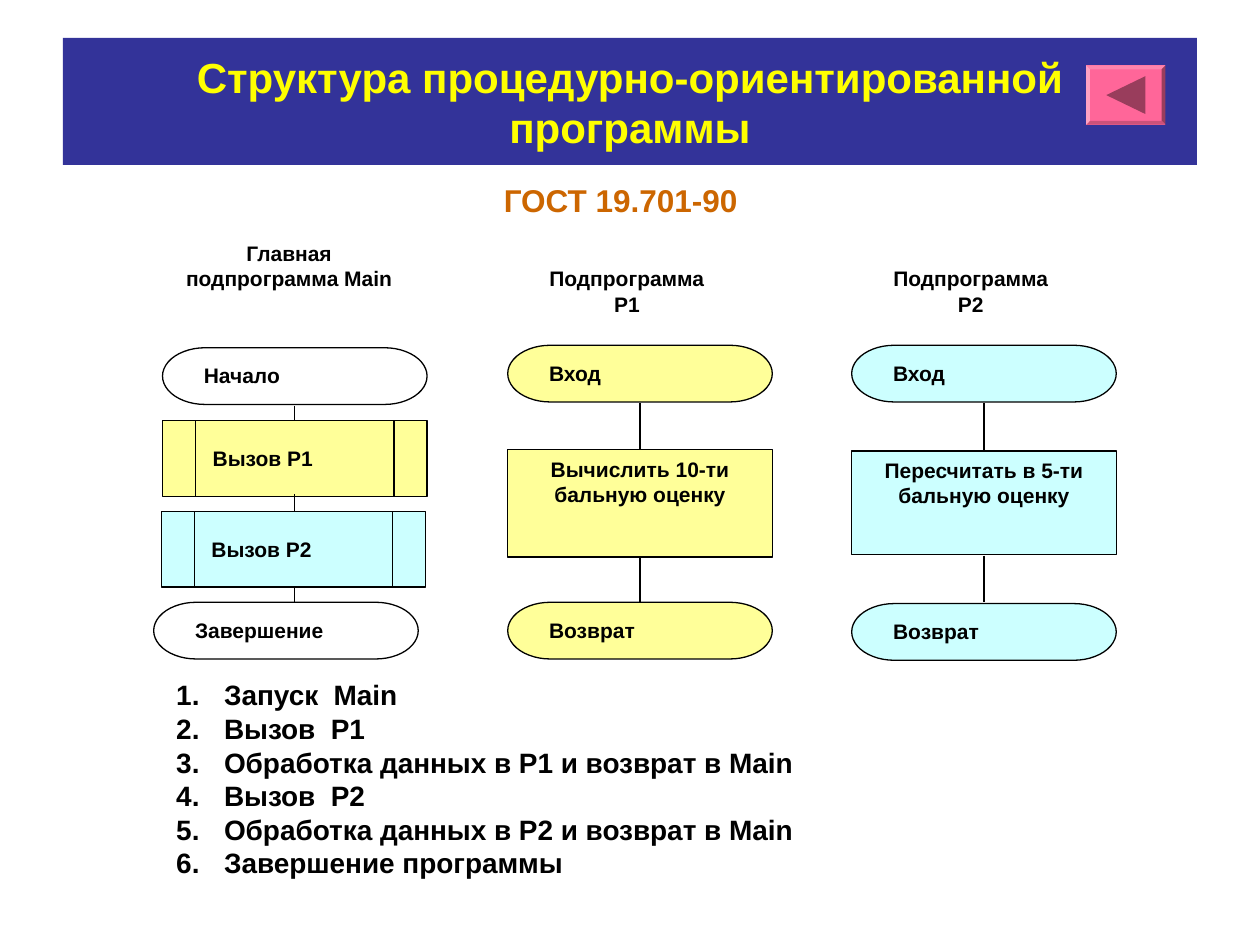
from dataclasses import dataclass

from lxml import etree
from pptx import Presentation
from pptx.dml.color import RGBColor
from pptx.enum.shapes import MSO_CONNECTOR, MSO_SHAPE
from pptx.enum.text import MSO_ANCHOR, PP_ALIGN
from pptx.oxml.ns import qn
from pptx.util import Inches, Pt

RECTANGLE = MSO_SHAPE.RECTANGLE
TERMINATOR = MSO_SHAPE.FLOWCHART_TERMINATOR
PREDEFINED_PROCESS = MSO_SHAPE.FLOWCHART_PREDEFINED_PROCESS
STRAIGHT = MSO_CONNECTOR.STRAIGHT
LEFT, CENTER = PP_ALIGN.LEFT, PP_ALIGN.CENTER
TOP, MIDDLE = MSO_ANCHOR.TOP, MSO_ANCHOR.MIDDLE


@dataclass(frozen=True)
class Theme:
    font: str = "Arial"
    black: str = "000000"
    white: str = "FFFFFF"
    yellow: str = "FFFF99"
    cyan: str = "CCFFFF"
    banner: str = "333399"
    title: str = "FFFF00"
    standard: str = "CC6600"
    button: str = "FF6699"
    button_top: str = "FF85AD"
    button_left: str = "FFA3C2"
    button_right: str = "993D5C"
    button_bottom: str = "CC527A"
    title_size: int = 24
    standard_size: int = 18
    list_size: int = 16
    label_size: int = 12
    line_width: float = 0.75


THEME = Theme()
COLUMNS = (1.29, 4.03, 6.76)
BLOCK_WIDTH = 2.1
TERMINATOR_HEIGHT = 0.45
CALL_HEIGHT = 0.6
STEPS = (
    "Запуск  Main",
    "Вызов  P1",
    "Обработка данных в Р1 и возврат в Main",
    "Вызов  P2",
    "Обработка данных в Р2 и возврат в Main",
    "Завершение программы",
)


def color(value):
    return RGBColor.from_string(value)


def write(shape, lines, size=THEME.label_size, ink=THEME.black,
          align=LEFT, anchor=TOP, wrap=True):
    frame = shape.text_frame
    frame.word_wrap = wrap
    frame.vertical_anchor = anchor
    for index, line in enumerate(lines):
        paragraph = frame.add_paragraph() if index else frame.paragraphs[0]
        paragraph.alignment = align
        run = paragraph.add_run()
        run.text = line
        run.font.name = THEME.font
        run.font.size = Pt(size)
        run.font.bold = True
        run.font.color.rgb = color(ink)
    return frame


def paint(shape, fill, outlined=False):
    shape.shadow.inherit = False
    shape.fill.solid()
    shape.fill.fore_color.rgb = color(fill)
    if outlined:
        shape.line.color.rgb = color(THEME.black)
        shape.line.width = Pt(THEME.line_width)
    else:
        shape.line.fill.background()


def add_block(slide, kind, box, fill, outlined=False):
    shape = slide.shapes.add_shape(kind, *map(Inches, box))
    paint(shape, fill, outlined)
    return shape


def add_terminator(slide, left, top, text, fill, label_width):
    add_block(slide, TERMINATOR, (left, top, BLOCK_WIDTH, TERMINATOR_HEIGHT), fill, True)
    label = add_block(slide, RECTANGLE, (left + 0.23, top + 0.07, label_width, 0.3), fill)
    write(label, [text])


def add_call(slide, left, top, text, fill):
    """Add a predefined-process block that calls a subprogram."""
    add_block(slide, PREDEFINED_PROCESS, (left, top, BLOCK_WIDTH, CALL_HEIGHT), fill, True)
    label = add_block(slide, RECTANGLE, (left + 0.3, top + 0.15, 1.47, 0.3), fill)
    write(label, [text])


def add_link(slide, column, top, bottom):
    center = Inches(column + BLOCK_WIDTH / 2)
    link = slide.shapes.add_connector(STRAIGHT, center, Inches(top), center, Inches(bottom))
    link.line.color.rgb = color(THEME.black)
    link.line.width = Pt(THEME.line_width)
    etree.SubElement(link._element.spPr, qn("a:effectLst"))


def add_heading(slide, left, lines, top_inset=0.05):
    heading = add_block(slide, RECTANGLE, (left, 1.86, 1.89, 0.75), THEME.white)
    write(heading, lines, align=CENTER).margin_top = Inches(top_inset)


def add_main_program(slide):
    column = COLUMNS[0]
    add_heading(slide, column + 0.06, ["Главная подпрограмма Main"])
    add_terminator(slide, column, 2.76, "Начало", THEME.white, 1.4)
    add_call(slide, column, 3.34, "Вызов P1", THEME.yellow)
    add_terminator(slide, column - 0.07, 4.78, "Завершение", THEME.white, 1.66)
    add_link(slide, column, 3.22, 3.34)
    add_link(slide, column, 3.92, 4.06)
    add_call(slide, column - 0.01, 4.06, "Вызов P2", THEME.cyan)
    add_link(slide, column, 4.67, 4.78)


def add_subprogram(slide, column, name, action, fill, action_top, action_height, exit_top):
    add_heading(slide, column, ["Подпрограмма", name], top_inset=0.25)
    add_terminator(slide, column, 2.74, "Вход", fill, 1.4)
    add_terminator(slide, column, exit_top, "Возврат", fill, 1.66)
    add_link(slide, column, 3.2, 3.57)
    add_link(slide, column, 4.41, 4.78)
    process = add_block(
        slide, RECTANGLE, (column, action_top, BLOCK_WIDTH, action_height), fill, True)
    write(process, [action], align=CENTER)


def add_polygon(slide, points, fill):
    start, *others = [(Inches(x), Inches(y)) for x, y in points]
    builder = slide.shapes.build_freeform(*start)
    builder.add_line_segments(others, close=True)
    paint(builder.convert_to_shape(), fill)


def add_back_button(slide, left, top, width, height, bevel=0.03):
    right, bottom = left + width, top + height
    outer = [(left, top), (right, top), (right, bottom), (left, bottom)]
    inner = [(left + bevel, top + bevel), (right - bevel, top + bevel),
             (right - bevel, bottom - bevel), (left + bevel, bottom - bevel)]
    add_polygon(slide, outer, THEME.button)
    edges = (THEME.button_top, THEME.button_right, THEME.button_bottom, THEME.button_left)
    for index, fill in enumerate(edges):
        after = (index + 1) % 4
        add_polygon(slide, [outer[index], outer[after], inner[after], inner[index]], fill)
    middle = top + height / 2
    arrow = [(left + 0.16, middle), (right - 0.16, middle - 0.15), (right - 0.16, middle + 0.15)]
    add_polygon(slide, arrow, THEME.button_right)


def add_steps(slide):
    box = slide.shapes.add_textbox(*map(Inches, (1.3, 5.33, 6.69, 1.7)))
    frame = write(box, STEPS, THEME.list_size, anchor=MIDDLE)
    for paragraph in frame.paragraphs:
        properties = paragraph._p.get_or_add_pPr()
        properties.set("marL", str(Inches(0.38)))
        properties.set("indent", str(-Inches(0.38)))
        bullet_color = etree.SubElement(properties, qn("a:buClr"))
        etree.SubElement(bullet_color, qn("a:srgbClr"), val=THEME.black)
        etree.SubElement(properties, qn("a:buFont"), typeface=THEME.font)
        etree.SubElement(properties, qn("a:buAutoNum"), type="arabicPeriod")


def main():
    presentation = Presentation()
    presentation.slide_width, presentation.slide_height = Inches(10), Inches(7.5)
    slide = presentation.slides.add_slide(presentation.slide_layouts[6])

    banner = add_block(slide, RECTANGLE, (0.5, 0.3, 9, 1.01), THEME.banner)
    write(banner, ["Структура процедурно-ориентированной программы"],
          THEME.title_size, THEME.title, CENTER, MIDDLE)
    add_main_program(slide)
    add_subprogram(slide, COLUMNS[1], "P1", "Вычислить 10-ти бальную оценку",
                   THEME.yellow, 3.57, 0.85, 4.78)
    add_subprogram(slide, COLUMNS[2], "P2", "Пересчитать в 5-ти бальную оценку",
                   THEME.cyan, 3.58, 0.82, 4.79)
    add_steps(slide)
    standard = slide.shapes.add_textbox(*map(Inches, (3.9, 1.39, 2.13, 0.4)))
    write(standard, ["ГОСТ 19.701-90"], THEME.standard_size, THEME.standard,
          anchor=MIDDLE, wrap=False)
    add_back_button(slide, 8.62, 0.52, 0.63, 0.47)
    presentation.save("out.pptx")


if __name__ == "__main__":
    main()
